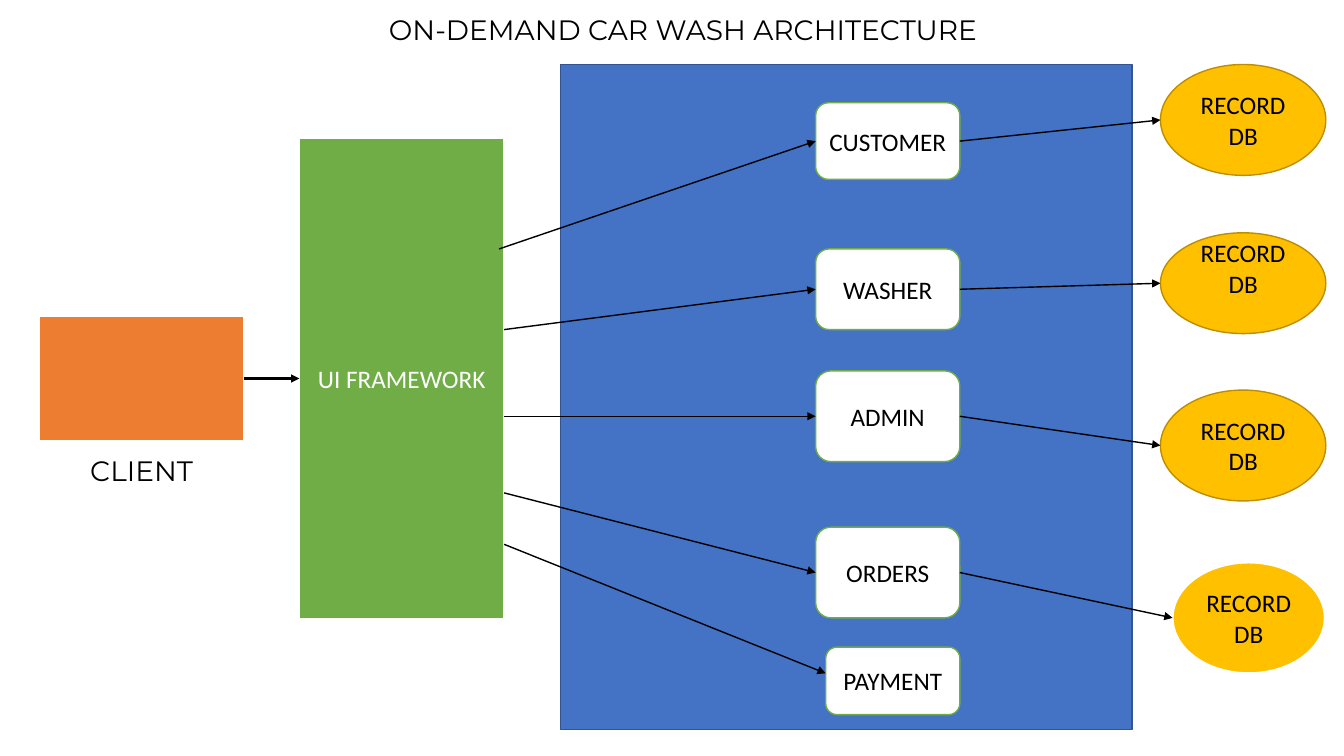
from pptx import Presentation
from pptx.dml.color import RGBColor
from pptx.enum.shapes import MSO_CONNECTOR as Connector, MSO_SHAPE as Shape
from pptx.enum.text import MSO_ANCHOR as Anchor, PP_ALIGN as Align
from pptx.oxml.ns import qn
from pptx.util import Inches, Pt
from lxml.etree import SubElement

WIDTH, HEIGHT = 13.33, 7.5
BLACK, WHITE, GREEN, GOLD = "000000", "FFFFFF", "70AD47", "FFC000"
TITLE = "ON-DEMAND CAR WASH ARCHITECTURE"
DATABASE = "RECORD DB"

# Areas are left, top, width, height in inches
CLIENT = (0.39, 3.13, 2.03, 1.25)
FRAMEWORK = (2.97, 1.37, 2.03, 4.77)
BACKEND = (5.56, 0.64, 5.67, 6.6)
SERVICE_RIGHT = 9.52

# name, width, top, height, arrow start on the framework, arrow end
SERVICES = [
    ("CUSTOMER", 1.43, 1.02, 0.76, (4.95, 2.47), 1.4),
    ("WASHER", 1.43, 2.47, 0.8, (5, 3.27), 2.87),
    ("ADMIN", 1.43, 3.68, 0.9, (5, 4.13), 4.13),
    ("ORDERS", 1.43, 5.23, 0.9, (5, 4.89), 5.68),
    ("PAYMENT", 1.33, 6.42, 0.67, (5, 5.4), 6.68),
]
# area, outline colour, outline width, bottom inset; one for each of the first services
DATABASES = [
    ((11.51, 0.64, 1.64, 1.1), "BD8E00", 1, 0.05),
    ((11.51, 2.31, 1.64, 1), "BD8E00", 1, 0.35),
    ((11.51, 3.87, 1.64, 1.1), "BD8E00", 1, 0.05),
    ((11.63, 5.58, 1.51, 1.1), WHITE, 1.5, 0.05),
]


def color(value):
    """Turn a hex string into a colour."""
    return RGBColor.from_string(value)


def write(box, text, font, size, ink, align=Align.CENTER):
    """Put one styled paragraph in a box."""
    box.text_frame.word_wrap = True
    para = box.text_frame.paragraphs[0]
    para.text = text
    para.alignment = align
    para.font.name, para.font.size = font, Pt(size)
    para.font.color.rgb = color(ink)


def add_box(kind, area, fill, outline, weight, text="", ink=BLACK):
    """Draw a filled shape with a centred label."""
    box = page.shapes.add_shape(kind, *map(Inches, area))
    box.shadow.inherit = False
    box.fill.solid()
    box.fill.fore_color.rgb = color(fill)
    box.line.color.rgb = color(outline)
    box.line.width = Pt(weight)
    box.text_frame.vertical_anchor = Anchor.MIDDLE
    if text:
        write(box, text, "Calibri", 18, ink)
    return box


def add_label(area, text, align):
    """Add a free-standing caption."""
    box = page.shapes.add_textbox(*map(Inches, area))
    write(box, text, "Montserrat", 20, BLACK, align)


def add_arrow(start, end, weight=1):
    """Draw a black arrow between two points."""
    arrow = page.shapes.add_connector(Connector.STRAIGHT, *map(Inches, start + end))
    arrow.line.color.rgb = color(BLACK)
    arrow.line.width = Pt(weight)
    SubElement(arrow.line._get_or_add_ln(), qn("a:tailEnd"), type="triangle")
    SubElement(arrow._element.spPr, qn("a:effectLst"))


deck = Presentation()
deck.slide_width, deck.slide_height = Inches(WIDTH), Inches(HEIGHT)
page = deck.slides.add_slide(deck.slide_layouts[6])

add_label((3.76, 0.08, 8.14, 0.43), TITLE, Align.LEFT)
add_box(Shape.RECTANGLE, CLIENT, "ED7D31", WHITE, 1.5)
add_label((0.39, 4.45, 2.03, 0.44), "CLIENT", Align.CENTER)
add_box(Shape.RECTANGLE, FRAMEWORK, GREEN, WHITE, 1.5, "UI FRAMEWORK", WHITE)
add_box(Shape.RECTANGLE, BACKEND, "4472C4", "325491", 1)

client_middle = CLIENT[1] + CLIENT[3] / 2
add_arrow((CLIENT[0] + CLIENT[2], client_middle), (FRAMEWORK[0], client_middle), 1.5)

for name, width, top, height, start, end_y in SERVICES:
    left = SERVICE_RIGHT - width
    add_box(Shape.ROUNDED_RECTANGLE, (left, top, width, height), WHITE, GREEN, 1, name)
    add_arrow(start, (left, end_y))

for service, (area, outline, weight, inset) in zip(SERVICES, DATABASES):
    store = add_box(Shape.OVAL, area, GOLD, outline, weight, DATABASE)
    store.text_frame.margin_bottom = Inches(inset)
    add_arrow((SERVICE_RIGHT, service[-1]), (area[0], area[1] + area[3] / 2))

deck.save("out.pptx")
